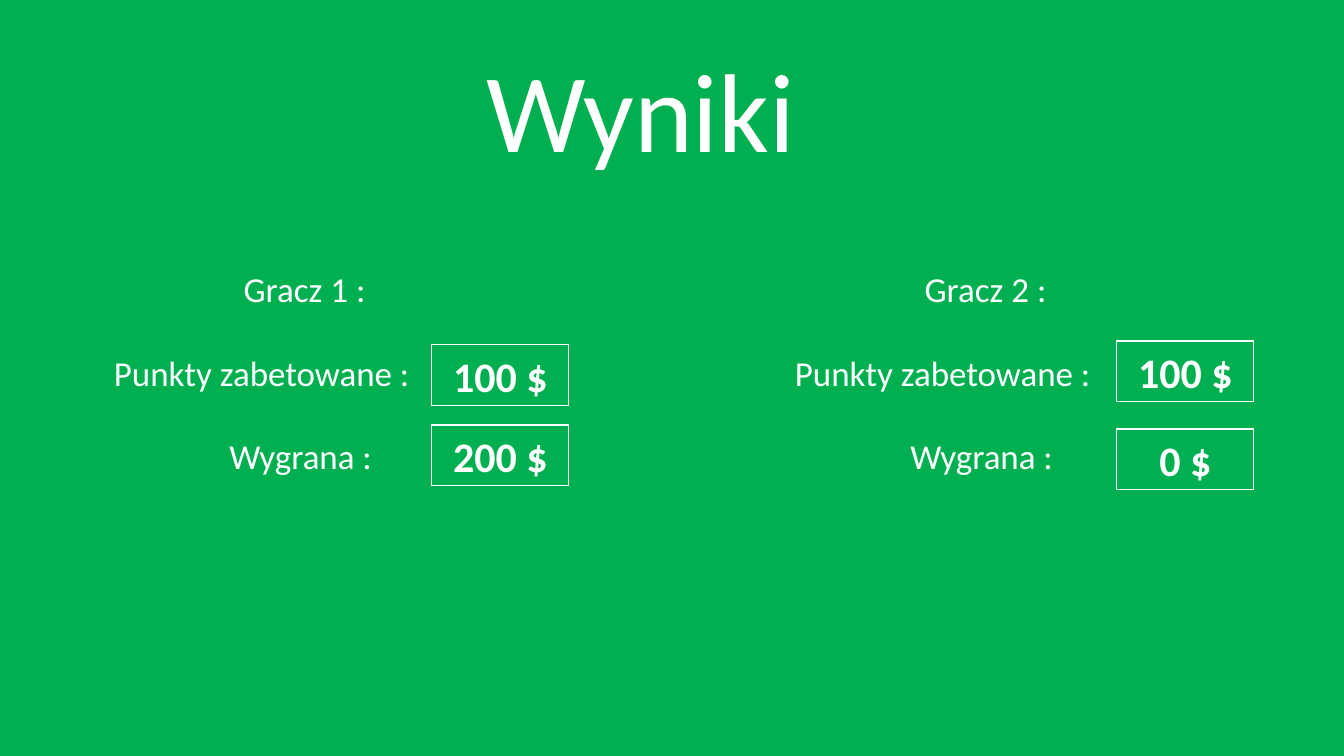
from pptx import Presentation
from pptx.dml.color import RGBColor
from pptx.enum.shapes import MSO_SHAPE
from pptx.enum.text import MSO_ANCHOR, PP_ALIGN
from pptx.util import Emu, Pt

RECT = MSO_SHAPE.RECTANGLE
TOP, MIDDLE = MSO_ANCHOR.TOP, MSO_ANCHOR.MIDDLE
LEFT, CENTER = PP_ALIGN.LEFT, PP_ALIGN.CENTER
EMU_PER_PX = 914400 / 100.8
FONT = "Calibri"
GREEN, WHITE = "00B050", "FFFFFF"

PLAYERS = [
    ("Gracz 1 :", 104, 432, [("100 $", 345), ("200 $", 425)]),
    ("Gracz 2 :", 785, 1117, [("100 $", 341), ("0 $", 429)]),
]


def px(n):
    """Turn pixels into EMU."""
    return Emu(round(n * EMU_PER_PX))


def color(value):
    """Turn a hex string into a colour."""
    return RGBColor.from_string(value)


def write(tf, lines, size, bold=False, gap=0, anchor=TOP):
    """Fill a text frame with (text, alignment) paragraphs."""
    tf.word_wrap = True
    tf.vertical_anchor = anchor
    for i, (text, align) in enumerate(lines):
        p = tf.paragraphs[0] if i == 0 else tf.add_paragraph()
        p.alignment = align
        p.space_before = Pt(gap if i else 0)
        r = p.add_run()
        r.text = text
        r.font.name = FONT
        r.font.size = Pt(size)
        r.font.bold = bold
        r.font.color.rgb = color(WHITE)


def add_text(s, x, y, w, h, lines, size, gap=0):
    """Add a text box."""
    sp = s.shapes.add_textbox(px(x), px(y), px(w), px(h))
    write(sp.text_frame, lines, size, gap=gap)


def add_amount(s, x, y, text):
    """Add an outlined box holding an amount."""
    sp = s.shapes.add_shape(RECT, px(x), px(y), px(137), px(61))
    sp.shadow.inherit = False
    sp.fill.background()
    sp.line.color.rgb = color(WHITE)
    sp.line.width = Pt(0.75)
    write(sp.text_frame, [(text, CENTER)], 30, bold=True, anchor=MIDDLE)


def main():
    """Build the results slide."""
    prs = Presentation()
    prs.slide_width, prs.slide_height = px(1344), px(756)
    s = prs.slides.add_slide(prs.slide_layouts[6])
    s.background.fill.solid()
    s.background.fill.fore_color.rgb = color(GREEN)

    add_text(s, 179, 36, 924, 146, [("Wyniki", CENTER)], 80)
    for name, label_x, amount_x, amounts in PLAYERS:
        lines = [(name, CENTER), ("Punkty zabetowane :", LEFT),
                 ("Wygrana :\u00a0", CENTER)]
        add_text(s, label_x, 263, 401, 222, lines, 25, gap=29.5)
        for text, y in amounts:
            add_amount(s, amount_x, y, text)

    prs.save("out.pptx")


main()
